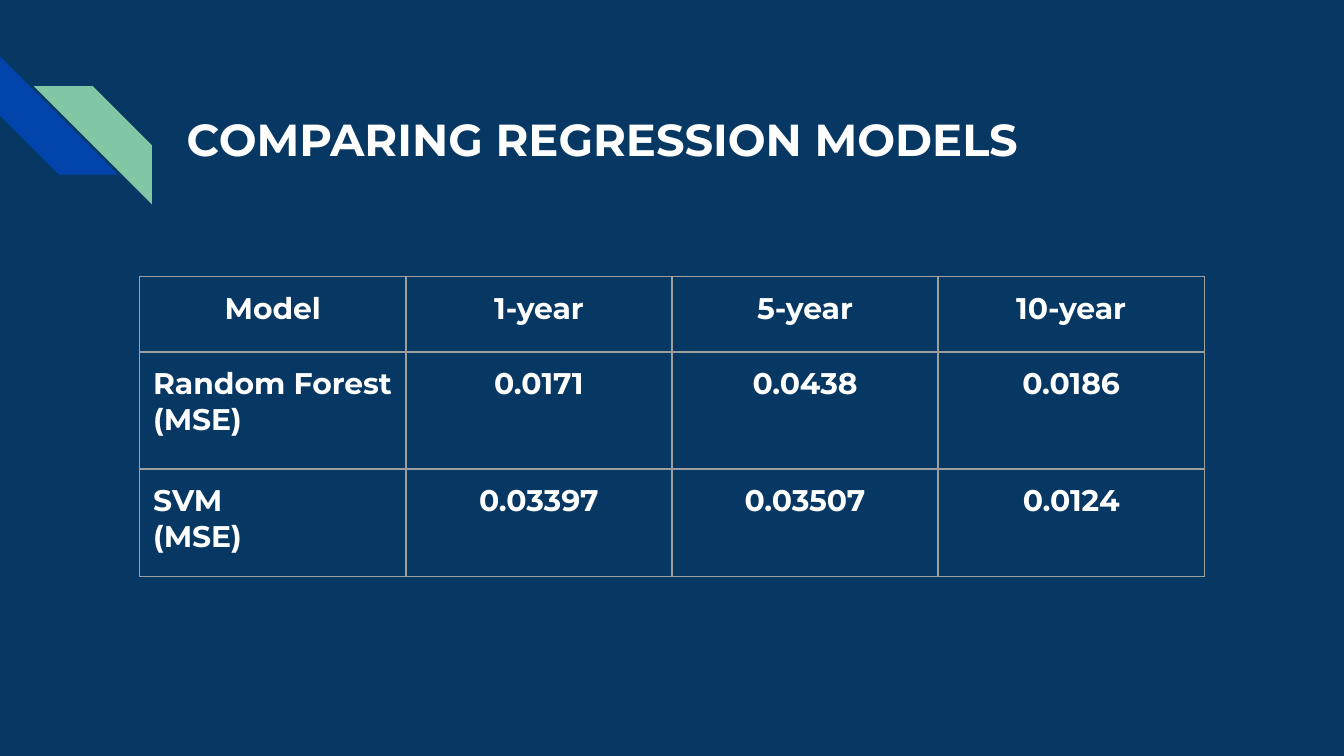
from dataclasses import dataclass

from lxml.etree import SubElement
from pptx import Presentation
from pptx.dml.color import RGBColor
from pptx.enum.shapes import MSO_SHAPE as Shape
from pptx.enum.text import MSO_ANCHOR as Anchor, PP_ALIGN as Align
from pptx.oxml.ns import qn
from pptx.slide import Slide
from pptx.table import _Cell as Cell
from pptx.text.text import TextFrame
from pptx.util import Inches, Pt


@dataclass(frozen=True)
class Theme:
    background: str = "073763"
    blue: str = "0145AC"
    green: str = "82C7A5"
    text: str = "FFFFFF"
    border: str = "9E9E9E"
    font: str = "Montserrat"
    title_size: int = 24
    table_size: int = 16
    border_width: float = 0.75
    inset: float = 0.1


@dataclass(frozen=True)
class Stripe:
    left: float
    top: float
    rotation: int
    color: str


THEME = Theme()
SLIDE_WIDTH = 10
SLIDE_HEIGHT = SLIDE_WIDTH * 9 / 16
STRIPE_SIZE = 0.88
STRIPES = [
    Stripe(0, 0.42, 270, THEME.blue),
    Stripe(0.25, 0.64, 90, THEME.green),
]
RESULTS = [
    ["Model", "1-year", "5-year", "10-year"],
    ["Random Forest\n(MSE)", "0.0171", "0.0438", "0.0186"],
    ["SVM\n(MSE)", "0.03397", "0.03507", "0.0124"],
]
COLUMN_WIDTH = 1.98
ROW_HEIGHTS = [0.56, 0.87, 0.8]


def write_text(frame: TextFrame, text: str, size: int, align: Align) -> None:
    paragraph = frame.paragraphs[0]
    paragraph.alignment = align
    for index, line in enumerate(text.split("\n")):
        if index:
            paragraph.add_line_break()
        run = paragraph.add_run()
        run.text = line
        run.font.name = THEME.font
        run.font.size = Pt(size)
        run.font.bold = True
        run.font.color.rgb = RGBColor.from_string(THEME.text)


def set_insets(box: TextFrame | Cell) -> None:
    box.margin_left = box.margin_right = Inches(THEME.inset)
    box.margin_top = box.margin_bottom = Inches(THEME.inset)


def draw_stripe(slide: Slide, stripe: Stripe) -> None:
    band = slide.shapes.add_shape(
        Shape.DIAGONAL_STRIPE, Inches(stripe.left), Inches(stripe.top),
        Inches(STRIPE_SIZE), Inches(STRIPE_SIZE))
    band.adjustments[0] = 0.5
    band.rotation = stripe.rotation
    band.shadow.inherit = False
    band.fill.solid()
    band.fill.fore_color.rgb = RGBColor.from_string(stripe.color)
    band.line.fill.background()


def draw_title(slide: Slide, text: str) -> None:
    title = slide.shapes.add_textbox(
        Inches(1.29), Inches(0.73), Inches(7.69), Inches(1.09)).text_frame
    title.word_wrap = True
    title.vertical_anchor = Anchor.TOP
    set_insets(title)
    write_text(title, text, THEME.title_size, Align.LEFT)


def add_borders(cell: Cell) -> None:
    properties = cell._tc.get_or_add_tcPr()
    for side in ("a:lnL", "a:lnR", "a:lnT", "a:lnB"):
        border = SubElement(properties, qn(side), w=str(Pt(THEME.border_width)))
        fill = SubElement(border, qn("a:solidFill"))
        SubElement(fill, qn("a:srgbClr"), val=THEME.border)


def draw_results(slide: Slide) -> None:
    column_count = len(RESULTS[0])
    table = slide.shapes.add_table(
        len(RESULTS), column_count, Inches(1.04), Inches(2.06),
        Inches(COLUMN_WIDTH * column_count), Inches(sum(ROW_HEIGHTS))).table
    table.first_row = table.horz_banding = False
    for column in table.columns:
        column.width = Inches(COLUMN_WIDTH)
    for row_index, (values, height) in enumerate(zip(RESULTS, ROW_HEIGHTS)):
        table.rows[row_index].height = Inches(height)
        for column_index, value in enumerate(values):
            cell = table.cell(row_index, column_index)
            set_insets(cell)
            add_borders(cell)
            cell.fill.background()
            is_model_name = row_index > 0 and column_index == 0
            align = Align.LEFT if is_model_name else Align.CENTER
            write_text(cell.text_frame, value, THEME.table_size, align)


def main() -> None:
    deck = Presentation()
    deck.slide_width = Inches(SLIDE_WIDTH)
    deck.slide_height = Inches(SLIDE_HEIGHT)
    slide = deck.slides.add_slide(deck.slide_layouts[6])

    # Background and corner stripes
    slide.background.fill.solid()
    slide.background.fill.fore_color.rgb = RGBColor.from_string(THEME.background)
    for stripe in STRIPES:
        draw_stripe(slide, stripe)

    # Title and model errors
    draw_title(slide, "COMPARING REGRESSION MODELS")
    draw_results(slide)
    deck.save("out.pptx")


if __name__ == "__main__":
    main()
